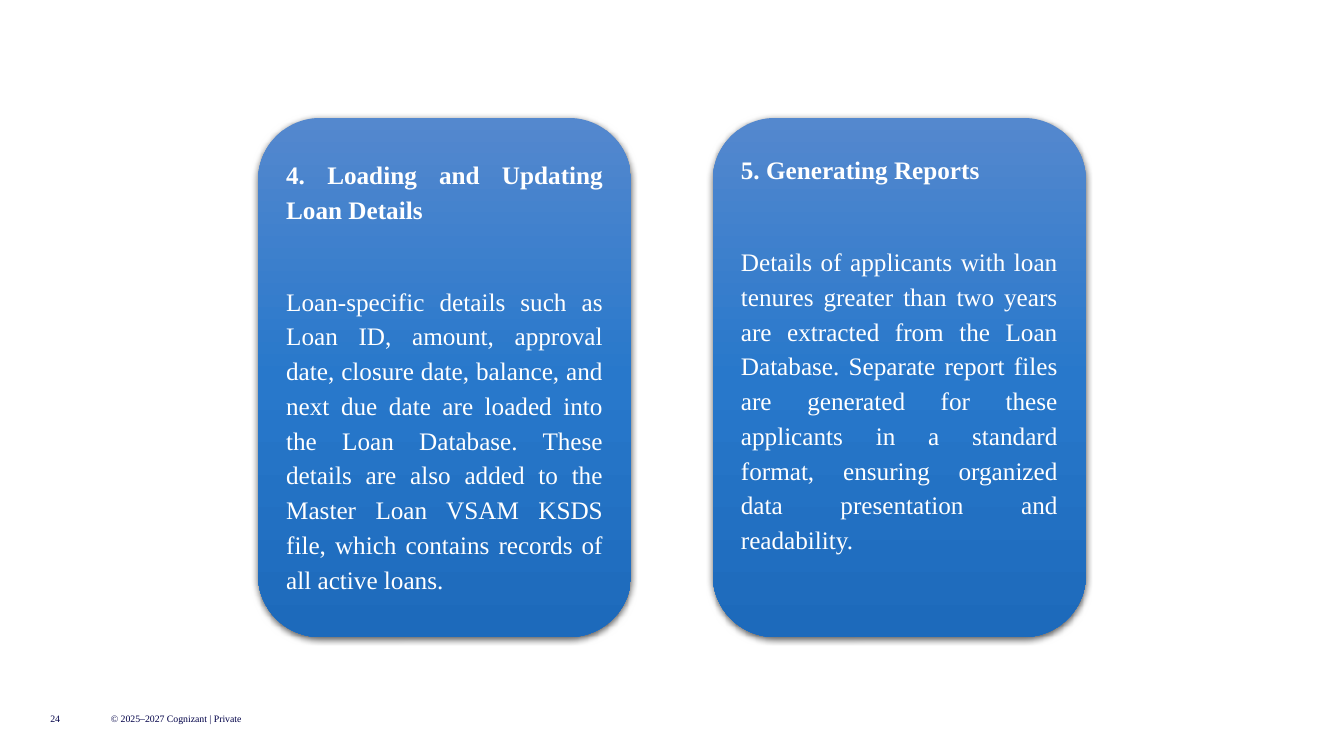
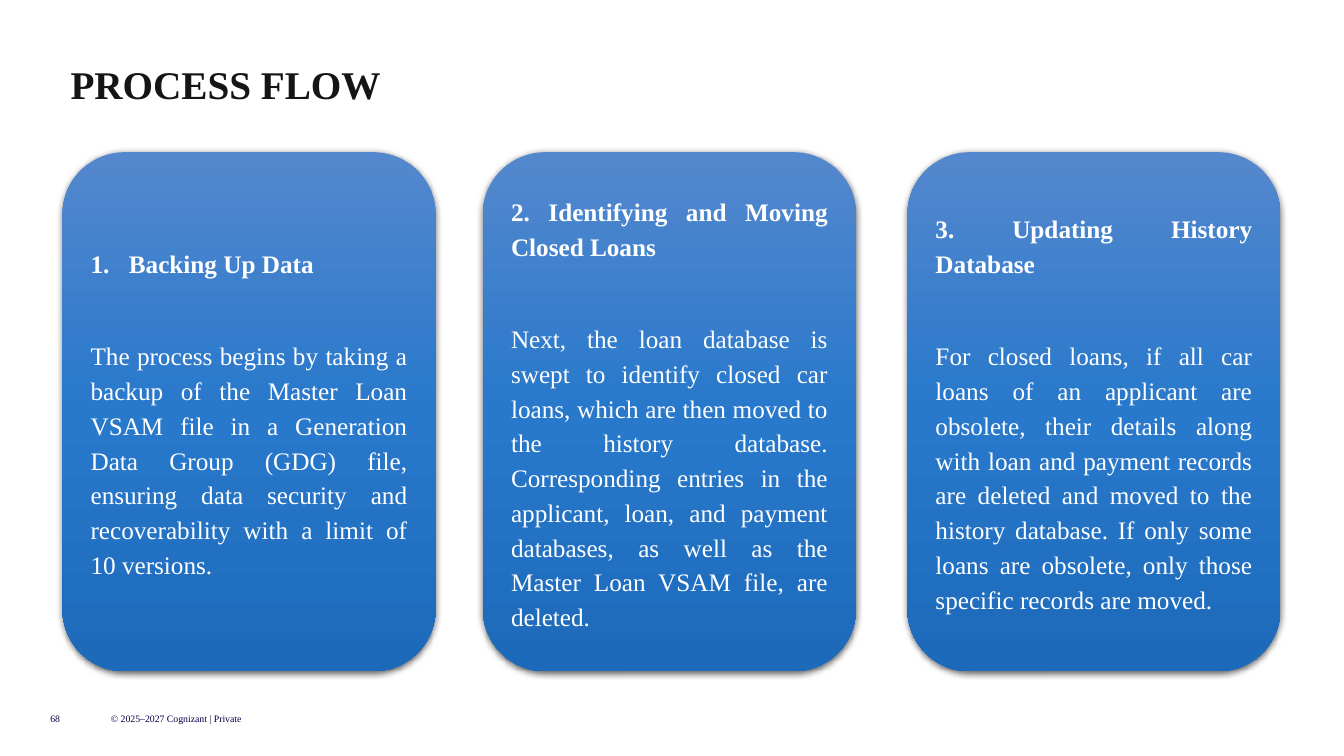
"""Builds two process-flow slides made of gradient text cards."""
from copy import deepcopy
from dataclasses import dataclass

from lxml.etree import SubElement
from pptx import Presentation
from pptx.dml.color import RGBColor
from pptx.enum.shapes import MSO_SHAPE
from pptx.enum.text import MSO_ANCHOR, PP_ALIGN
from pptx.oxml.ns import qn
from pptx.util import Inches, Pt


@dataclass(frozen=True)
class Theme:
    font: str = "Times New Roman"
    title_color: str = "151514"
    card_text: str = "FFFFFF"
    footer_color: str = "000048"
    gradient: tuple = ((0, "5488CE"), (0.5, "2878CB"), (1, "1D6ABB"))
    title_size: int = 28
    card_size: int = 18
    footer_size: int = 7
    card_width: float = 3.7
    card_height: float = 5.15


THEME = Theme()
COPYRIGHT = "© 2025–2027 Cognizant | Private"

SLIDES = [
    {
        "number": "24",
        "title": None,
        "top": 1.17,
        "cards": [
            (2.56, 0.06, False, "4. Loading and Updating Loan Details",
             "Loan-specific details such as Loan ID, amount, approval date, closure date, balance, "
             "and next due date are loaded into the Loan Database. These details are also added to "
             "the Master Loan VSAM KSDS file, which contains records of all active loans."),
            (7.07, 0.5, False, "5. Generating Reports",
             "Details of applicants with loan tenures greater than two years are extracted from the "
             "Loan Database. Separate report files are generated for these applicants in a standard "
             "format, ensuring organized data presentation and readability."),
        ],
    },
    {
        "number": "68",
        "title": "PROCESS FLOW",
        "top": 1.51,
        "cards": [
            (0.62, 0, True, "Backing Up Data",
             "The process begins by taking a backup of the Master Loan VSAM file in a Generation "
             "Data Group (GDG) file, ensuring data security and recoverability with a limit of "
             "10 versions."),
            (4.79, 0, False, "2. Identifying and Moving Closed Loans",
             "Next, the loan database is swept to identify closed car loans, which are then moved "
             "to the history database. Corresponding entries in the applicant, loan, and payment "
             "databases, as well as the Master Loan VSAM file, are deleted."),
            (9, 0, False, "3. Updating History Database",
             "For closed loans, if all car loans of an applicant are obsolete, their details along "
             "with loan and payment records are deleted and moved to the history database. If only "
             "some loans are obsolete, only those specific records are moved."),
        ],
    },
]


def write(paragraph, text, size, color, bold=False):
    """Fill a justified paragraph and format its run."""
    paragraph.text = text
    paragraph.alignment = PP_ALIGN.JUSTIFY
    font = paragraph.runs[0].font
    font.name = THEME.font
    font.size = Pt(size)
    font.bold = bold
    font.color.rgb = RGBColor.from_string(color)


def add_label(slide, box, text, size, color, bold=False, anchor=MSO_ANCHOR.MIDDLE):
    """Add a text box without insets and return its paragraph."""
    frame = slide.shapes.add_textbox(*map(Inches, box)).text_frame
    frame.word_wrap = True
    frame.vertical_anchor = anchor
    frame.margin_left = frame.margin_right = frame.margin_top = frame.margin_bottom = 0
    write(frame.paragraphs[0], text, size, color, bold)
    return frame.paragraphs[0]


deck = Presentation()
deck.slide_width = Inches(13.33)
deck.slide_height = Inches(7.5)

for content in SLIDES:
    slide = deck.slides.add_slide(deck.slide_layouts[6])

    for left, width, text in ((0.5, 0.4, content["number"]), (1.1, 1.94, COPYRIGHT)):
        add_label(slide, (left, 7, width, 0.25), text, THEME.footer_size, THEME.footer_color)

    if content["title"]:
        title = add_label(slide, (0.7, 0.65, 12.44, 0.42), content["title"],
                          THEME.title_size, THEME.title_color, True, MSO_ANCHOR.TOP)
        title.line_spacing = 0.9

    for left, lift, numbered, heading_text, body_text in content["cards"]:
        card = slide.shapes.add_shape(
            MSO_SHAPE.ROUNDED_RECTANGLE, Inches(left), Inches(content["top"]),
            Inches(THEME.card_width), Inches(THEME.card_height))
        card.line.fill.background()

        card.fill.gradient()
        card.fill.gradient_angle = 270
        properties = card._element.spPr
        first_stop = properties.find(".//" + qn("a:gs"))
        first_stop.addnext(deepcopy(first_stop))
        for stop, (position, color) in zip(card.fill.gradient_stops, THEME.gradient):
            stop.position = position
            stop.color.rgb = RGBColor.from_string(color)

        card.shadow.inherit = False
        shadow = SubElement(properties.find(qn("a:effectLst")), qn("a:outerShdw"),
                            blurRad=str(Pt(4.5)), dist=str(Pt(1.5)), dir="5400000",
                            algn="ctr", rotWithShape="0")
        shadow_color = SubElement(shadow, qn("a:srgbClr"), val="000000")
        SubElement(shadow_color, qn("a:alpha"), val="63000")

        frame = card.text_frame
        frame.word_wrap = True
        frame.vertical_anchor = MSO_ANCHOR.MIDDLE
        frame.margin_bottom = Inches(0.05 + lift)
        heading, body = frame.paragraphs[0], frame.add_paragraph()
        for paragraph, text, bold, gap in ((heading, heading_text, True, 41),
                                           (body, body_text, False, 8)):
            paragraph.line_spacing = 1.15
            paragraph.space_after = Pt(gap)
            write(paragraph, text, THEME.card_size, THEME.card_text, bold)

        if numbered:
            numbering = heading._p.get_or_add_pPr()
            numbering.set("marL", str(Inches(0.38)))
            numbering.set("indent", str(Inches(-0.38)))
            SubElement(numbering, qn("a:buAutoNum"), type="arabicPeriod")

deck.save("out.pptx")
